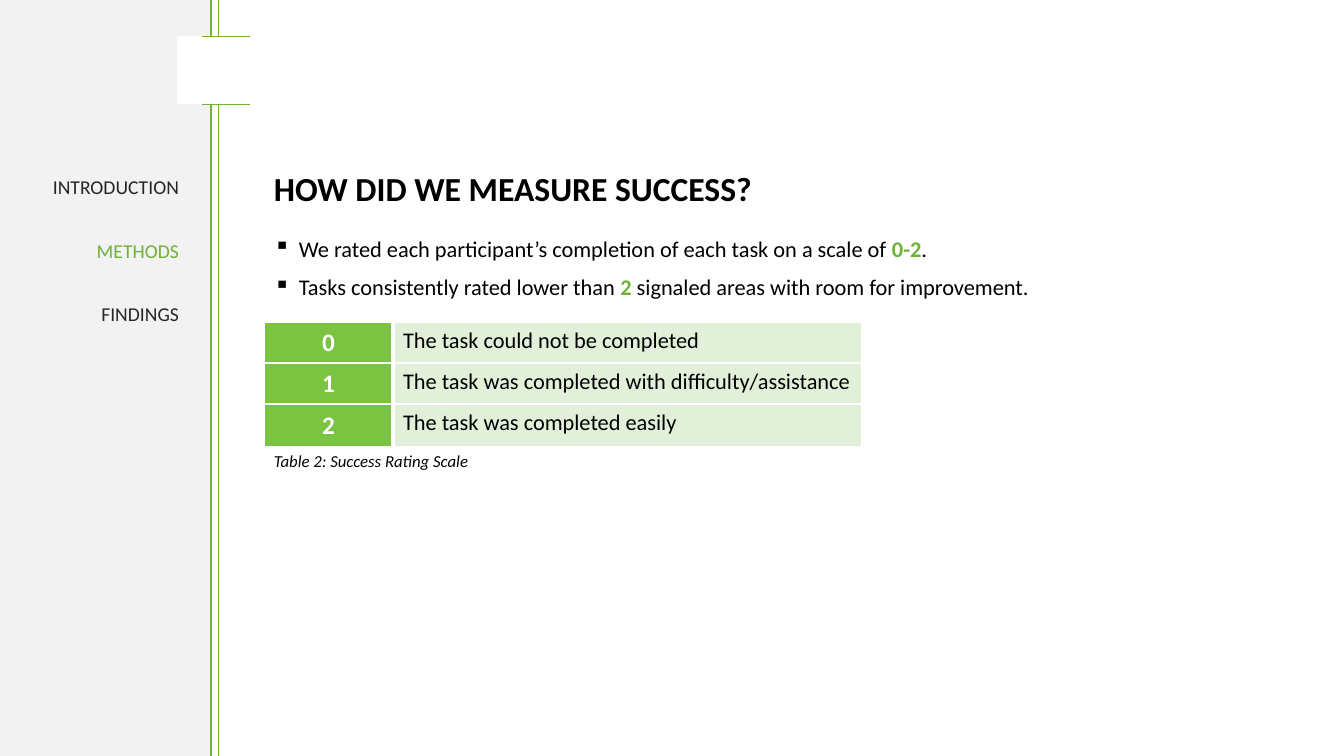
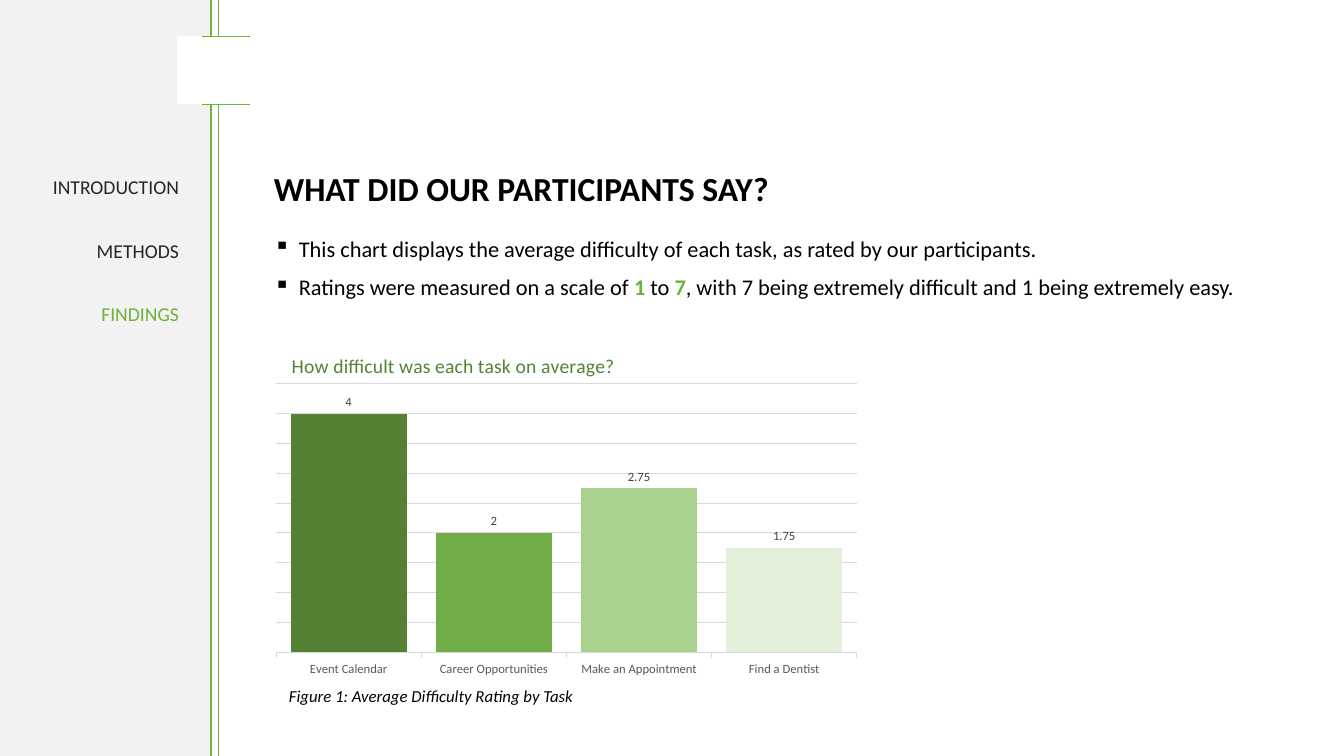
import dataclasses
import typing

import lxml.etree
import pptx
import pptx.chart.data
import pptx.dml.color
import pptx.enum.chart
import pptx.enum.shapes
import pptx.enum.text
import pptx.oxml.ns
import pptx.util

EMU_PER_PX = 914400 / 100.8
ALIGN = pptx.enum.text.PP_ALIGN
ANCHOR = pptx.enum.text.MSO_ANCHOR


@dataclasses.dataclass(frozen=True)
class Theme:
    font: str = "Calibri"
    accent: str = "6FB238"
    sidebar: str = "F2F2F2"
    text: str = "000000"
    nav_text: str = "262626"
    white: str = "FFFFFF"
    score: str = "7BC441"
    pale: str = "E2F0D9"
    chart_title: str = "548235"
    bars: tuple[str, ...] = ("548235", "70AD47", "A9D18E", "E2F0D9")
    grid: str = "D9D9D9"
    axis_text: str = "595959"
    label_text: str = "404040"
    title_size: int = 24
    score_size: int = 18
    body_size: int = 16
    nav_size: int = 14
    caption_size: int = 12
    chart_size: int = 9


THEME = Theme()


class Box(typing.NamedTuple):
    left: int
    top: int
    width: int
    height: int


class Rule(typing.NamedTuple):
    x1: int
    y1: int
    x2: int
    y2: int
    weight: float


@dataclasses.dataclass(frozen=True)
class Run:
    text: str
    color: str = THEME.text
    bold: bool = False
    italic: bool = False


@dataclasses.dataclass(frozen=True)
class TextStyle:
    size: int
    align: typing.Any = ALIGN.LEFT
    anchor: typing.Any = ANCHOR.TOP
    space_before: int = 0
    bullet: str = ""


TITLE = TextStyle(THEME.title_size, anchor=ANCHOR.MIDDLE)
BODY = TextStyle(THEME.body_size, space_before=10, bullet="▪")
NAV = TextStyle(THEME.nav_size, align=ALIGN.RIGHT, space_before=30)
CAPTION = TextStyle(THEME.caption_size, space_before=10)

SECTIONS = ("INTRODUCTION", "METHODS", "FINDINGS")
GAP_TOP, GAP_BOTTOM = 36, 104
SIDEBAR_BLOCKS = (Box(0, 0, 211, 756), Box(177, GAP_TOP, 36, GAP_BOTTOM - GAP_TOP))
SIDEBAR_RULES = (
    Rule(211, 0, 211, 756, 1.5),
    Rule(218, 0, 218, GAP_TOP, 0.25),
    Rule(218, GAP_BOTTOM, 218, 756, 0.25),
    Rule(202, GAP_TOP, 250, GAP_TOP, 0.5),
    Rule(202, GAP_BOTTOM, 250, GAP_BOTTOM, 0.5),
)
RATINGS = (
    ("0", "The task could not be completed"),
    ("1", "The task was completed with difficulty/assistance"),
    ("2", "The task was completed easily"),
)
DIFFICULTY = {
    "Event Calendar": 4,
    "Career Opportunities": 2,
    "Make an Appointment": 2.75,
    "Find a Dentist": 1.75,
}


def px(length: int) -> pptx.util.Emu:
    return pptx.util.Emu(round(length * EMU_PER_PX))


def place(box: Box) -> list[pptx.util.Emu]:
    return [px(length) for length in box]


def rgb(color: str) -> pptx.dml.color.RGBColor:
    return pptx.dml.color.RGBColor.from_string(color)


def apply(target: typing.Any, values: dict[str, typing.Any]) -> None:
    for name, value in values.items():
        setattr(target, name, value)


def paint(fill: typing.Any, color: str) -> None:
    fill.solid()
    fill.fore_color.rgb = rgb(color)


def set_font(font: typing.Any, size: int, color: str, bold: bool = False,
             italic: bool = False) -> None:
    apply(font, {"name": THEME.font, "size": pptx.util.Pt(size),
                 "bold": bold, "italic": italic})
    font.color.rgb = rgb(color)


def set_line(line: typing.Any, color: str, weight: float) -> None:
    paint(line.fill, color)
    line.width = pptx.util.Pt(weight)


def add_child(parent: typing.Any, tag: str, **attributes: str) -> typing.Any:
    return lxml.etree.SubElement(parent, pptx.oxml.ns.qn(tag), attributes)


def add_text(slide: typing.Any, box: Box, style: TextStyle,
             paragraphs: typing.Sequence[typing.Sequence[Run]]) -> None:
    frame = slide.shapes.add_textbox(*place(box)).text_frame
    apply(frame, {"word_wrap": True, "vertical_anchor": style.anchor})
    for index, runs in enumerate(paragraphs):
        paragraph = frame.add_paragraph() if index else frame.paragraphs[0]
        apply(paragraph, {"alignment": style.align, "line_spacing": 0.9,
                          "space_before": pptx.util.Pt(style.space_before)})
        if style.bullet:
            properties = paragraph._p.get_or_add_pPr()
            indent = px(25)
            properties.set("marL", str(indent))
            properties.set("indent", str(-indent))
            add_child(properties, "a:buChar", char=style.bullet)
        for part in runs:
            run = paragraph.add_run()
            run.text = part.text
            set_font(run.font, style.size, part.color, part.bold, part.italic)


def strong(text: str) -> Run:
    return Run(text, THEME.accent, bold=True)


def add_caption(slide: typing.Any, left: int, top: int, text: str) -> None:
    add_text(slide, Box(left, top, 599, 32), CAPTION, [[Run(text, italic=True)]])


def add_frame(deck: typing.Any, title: str, section: str,
              points: typing.Sequence[typing.Sequence[Run]]) -> typing.Any:
    """Add a slide with the sidebar, title, bullet points and navigation."""
    slide = deck.slides.add_slide(deck.slide_layouts[6])
    # Sidebar: the gap block is a step in the white background
    for box, color in zip(SIDEBAR_BLOCKS, (THEME.sidebar, THEME.white)):
        block = slide.shapes.add_shape(
            pptx.enum.shapes.MSO_SHAPE.RECTANGLE, *place(box))
        paint(block.fill, color)
        block.line.fill.background()
        block.shadow.inherit = False
        if box is SIDEBAR_BLOCKS[0]:
            add_rules(slide, SIDEBAR_RULES[:1])
    add_rules(slide, SIDEBAR_RULES[1:])
    # Title, points and section navigation
    add_text(slide, Box(264, 149, 743, 84), TITLE, [[Run(title, bold=True)]])
    add_text(slide, Box(264, 233, 1048, 89), BODY, points)
    add_text(slide, Box(14, 173, 175, 397), NAV, [
        [Run(name, THEME.accent if name == section else THEME.nav_text)]
        for name in SECTIONS])
    return slide


def add_rules(slide: typing.Any, rules: typing.Sequence[Rule]) -> None:
    for rule in rules:
        connector = slide.shapes.add_connector(
            pptx.enum.shapes.MSO_CONNECTOR.STRAIGHT,
            *(px(length) for length in rule[:4]))
        set_line(connector.line, THEME.accent, rule.weight)
        add_child(connector._element.spPr, "a:effectLst")


def set_borders(cell: typing.Any, weights: dict[str, int]) -> None:
    properties = cell._tc.get_or_add_tcPr()
    for index, (side, weight) in enumerate(weights.items()):
        border = add_child(properties, f"a:ln{side}", w=str(pptx.util.Pt(weight)))
        add_child(add_child(border, "a:solidFill"), "a:srgbClr", val=THEME.white)
        properties.insert(index, border)


def add_rating_table(slide: typing.Any) -> None:
    table = slide.shapes.add_table(
        len(RATINGS), 2, *place(Box(264, 322, 598, 125))).table
    apply(table, {"first_row": False, "horz_banding": False})
    for column, width in zip(table.columns, (129, 469)):
        column.width = px(width)
    for row, height in zip(table.rows, (41, 41, 43)):
        row.height = px(height)
    looks = (
        (THEME.score, THEME.score_size, THEME.white, True, ALIGN.CENTER,
         ANCHOR.MIDDLE, {"L": 1, "R": 3, "T": 1, "B": 1}),
        (THEME.pale, THEME.body_size, THEME.text, False, ALIGN.LEFT,
         ANCHOR.TOP, {"L": 3, "R": 1, "T": 1, "B": 1}),
    )
    for row, texts in zip(table.rows, RATINGS):
        for cell, text, look in zip(row.cells, texts, looks):
            fill, size, color, bold, align, anchor, borders = look
            apply(cell, {"text": text, "vertical_anchor": anchor})
            paragraph = cell.text_frame.paragraphs[0]
            paragraph.alignment = align
            set_font(paragraph.runs[0].font, size, color, bold)
            paint(cell.fill, fill)
            set_borders(cell, borders)


def set_layout(element: typing.Any, index: int, values: dict[str, typing.Any]) -> None:
    """Give a chart part a fixed place, in fractions of the chart."""
    for old in element.findall(pptx.oxml.ns.qn("c:layout")):
        element.remove(old)
    layout = add_child(element, "c:layout")
    element.insert(index, layout)
    manual = add_child(layout, "c:manualLayout")
    for name, value in values.items():
        add_child(manual, f"c:{name}", val=str(value))


def add_difficulty_chart(slide: typing.Any) -> None:
    data = pptx.chart.data.CategoryChartData()
    data.categories = list(DIFFICULTY)
    data.add_series("Series 1", list(DIFFICULTY.values()))
    chart = slide.shapes.add_chart(
        pptx.enum.chart.XL_CHART_TYPE.COLUMN_CLUSTERED,
        *place(Box(264, 331, 605, 353)), data).chart
    chart.has_legend = False
    set_font(chart.font, 10, THEME.text)
    # Title and plot area
    heading = chart.chart_title.text_frame
    heading.text = "How difficult was each task on average?"
    set_font(heading.paragraphs[0].runs[0].font, THEME.nav_size, THEME.chart_title)
    edges = {"xMode": "edge", "yMode": "edge"}
    set_layout(chart.chart_title._element, 1, edges | {"x": 0.04, "y": 0.05})
    set_layout(chart._chartSpace.chart.plotArea, 0, {"layoutTarget": "inner"} | edges
               | {"x": 0.02, "y": 0.15, "w": 0.96, "h": 0.76})
    # Axes
    tasks, scale = chart.category_axis, chart.value_axis
    tasks.major_tick_mark = pptx.enum.chart.XL_TICK_MARK.OUTSIDE
    set_font(tasks.tick_labels.font, THEME.chart_size, THEME.axis_text)
    apply(scale, {"visible": False, "has_major_gridlines": True,
                  "minimum_scale": 0, "maximum_scale": 4.5, "major_unit": 0.5})
    for line in (tasks.format.line, scale.major_gridlines.format.line):
        set_line(line, THEME.grid, 0.75)
    # Bars and their values
    plot = chart.plots[0]
    apply(plot, {"gap_width": 25, "overlap": -27, "vary_by_categories": False})
    ratings = plot.series[0]
    paint(ratings.format.fill, THEME.bars[1])
    for index, color in enumerate(THEME.bars):
        paint(ratings.points[index].format.fill, color)
    labels = ratings.data_labels
    apply(labels, {"show_value": True,
                   "position": pptx.enum.chart.XL_LABEL_POSITION.OUTSIDE_END})
    set_font(labels.font, THEME.chart_size, THEME.label_text)


def main() -> None:
    deck = pptx.Presentation()
    apply(deck, {"slide_width": px(1344), "slide_height": px(756)})

    # Rating scale
    methods = add_frame(deck, "HOW DID WE MEASURE SUCCESS?", "METHODS", [
        [Run("We rated each participant’s completion of each task on a scale of "),
         strong("0-2"), Run(".")],
        [Run("Tasks consistently rated lower than "), strong("2 "),
         Run("signaled areas with room for improvement.")],
    ])
    add_rating_table(methods)
    add_caption(methods, 264, 448, "Table 2: Success Rating Scale")

    # Average difficulty
    findings = add_frame(deck, "WHAT DID OUR PARTICIPANTS SAY?", "FINDINGS", [
        [Run("This chart displays the average difficulty of each task, "
             "as rated by our participants.")],
        [Run("Ratings were measured on a scale of "), strong("1"), Run(" to "),
         strong("7"),
         Run(", with 7 being extremely difficult and 1 being extremely easy.")],
    ])
    add_caption(findings, 279, 683, "Figure 1: Average Difficulty Rating by Task")
    add_difficulty_chart(findings)

    deck.save("out.pptx")


if __name__ == "__main__":
    main()
